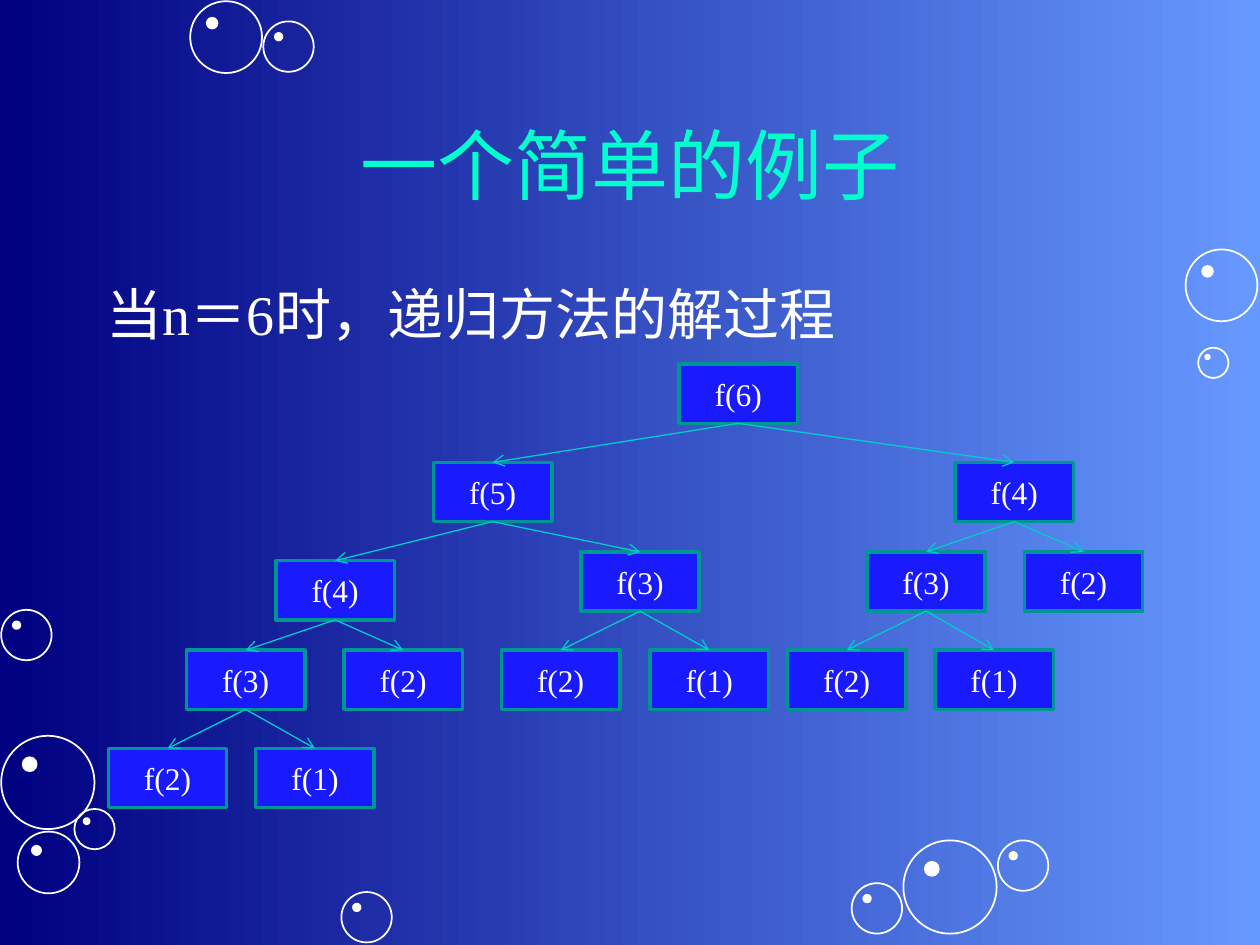
from dataclasses import dataclass
from typing import Any

from lxml import etree
from pptx import Presentation
from pptx import util as u
from pptx.dml.color import RGBColor
from pptx.enum import shapes, text
from pptx.oxml import ns

NAVY = RGBColor(0x00, 0x00, 0x80)
SKY = RGBColor(0x66, 0x99, 0xFF)
WHITE = RGBColor(0xFF, 0xFF, 0xFF)
MINT = RGBColor(0x00, 0xFF, 0xCC)
BLUE = RGBColor(0x1A, 0x1A, 0xFF)
TEAL = RGBColor(0x00, 0x95, 0x95)
CYAN = RGBColor(0x00, 0xCC, 0xCC)

BUBBLES = [
    (0.01, 5.84, 0.74), (0.59, 6.42, 0.32), (0.14, 6.6, 0.49),
    (2.71, 7.08, 0.4), (0.01, 4.84, 0.4), (7.17, 6.67, 0.74),
    (6.76, 7.01, 0.4), (7.92, 6.67, 0.4), (9.41, 1.98, 0.57),
    (9.51, 2.76, 0.24), (1.51, 0.01, 0.57), (2.09, 0.17, 0.4),
]
CALLS_IN_ORDER = [
    (5.39, 2.89), (3.44, 3.67), (2.19, 4.45), (1.48, 5.16), (0.86, 5.94),
    (2.03, 5.94), (2.73, 5.16), (4.61, 4.38), (3.98, 5.16), (5.16, 5.16),
    (7.58, 3.67), (6.88, 4.38), (6.25, 5.16), (7.42, 5.16), (8.13, 4.38),
]


@dataclass
class Painter:
    """Draws the elements of the recursion slide in one style."""

    slide: Any
    font: str = "Times New Roman"
    node_width: float = 0.94
    node_height: float = 0.47

    def background(self, start, end):
        fill = self.slide.background.fill
        fill.gradient()
        fill.gradient_angle = 0
        for stop, color, position in zip(fill.gradient_stops, (start, end), (0, 1)):
            stop.color.rgb = color
            stop.position = position

    def shape(self, kind, left, top, width, height, fill, line, weight):
        shape = self.slide.shapes.add_shape(
            kind, u.Inches(left), u.Inches(top), u.Inches(width), u.Inches(height))
        shape.shadow.inherit = False
        if fill is None:
            shape.fill.background()
        else:
            shape.fill.solid()
            shape.fill.fore_color.rgb = fill
        shape.line.color.rgb = line
        shape.line.width = u.Pt(weight)
        return shape

    def bubble(self, left, top, size):
        oval = shapes.MSO_SHAPE.OVAL
        inset, glint = 0.23 * size, 0.15 * size
        self.shape(oval, left, top, size, size, None, WHITE, 1)
        self.shape(oval, left + inset, top + inset, glint, glint, WHITE, WHITE, 1)

    def set_words(self, box, words, size, color, align, anchor):
        frame = box.text_frame
        frame.word_wrap = True
        frame.vertical_anchor = anchor
        frame.text = words
        para = frame.paragraphs[0]
        para.alignment = align
        for span in para.runs:
            span.font.name = self.font
            span.font.size = u.Pt(size)
            span.font.color.rgb = color

    def label(self, left, top, width, height, words, size, color, align, anchor):
        box = self.slide.shapes.add_textbox(
            u.Inches(left), u.Inches(top), u.Inches(width), u.Inches(height))
        self.set_words(box, words, size, color, align, anchor)

    def node(self, left, top, words):
        box = self.shape(shapes.MSO_SHAPE.RECTANGLE, left, top,
                         self.node_width, self.node_height, BLUE, TEAL, 2)
        self.set_words(box, words, 18, WHITE, text.PP_ALIGN.CENTER, text.MSO_ANCHOR.MIDDLE)
        return box

    def arrow(self, parent, child):
        arrow = self.slide.shapes.add_connector(shapes.MSO_CONNECTOR.STRAIGHT, 0, 0, 0, 0)
        arrow.begin_connect(parent, 2)
        arrow.end_connect(child, 0)
        arrow.line.color.rgb = CYAN
        arrow.line.width = u.Pt(0.75)
        properties = arrow.element.spPr
        outline = properties.find(ns.qn("a:ln"))
        etree.SubElement(outline, ns.qn("a:tailEnd"), type="arrow")
        etree.SubElement(properties, ns.qn("a:effectLst"))

    def call_tree(self, n, places):
        parent = self.node(*next(places), f"f({n})")
        if n > 2:
            children = [self.call_tree(n - step, places) for step in (1, 2)]
            for child in children:
                self.arrow(parent, child)
        return parent


def main():
    deck = Presentation()
    deck.slide_width, deck.slide_height = u.Inches(10), u.Inches(7.5)
    painter = Painter(deck.slides.add_slide(deck.slide_layouts[6]))
    painter.background(NAVY, SKY)
    for bubble in BUBBLES:
        painter.bubble(*bubble)
    painter.label(0.75, 0.67, 8.5, 1.25, "一个简单的例子", 44, MINT,
                  text.PP_ALIGN.CENTER, text.MSO_ANCHOR.MIDDLE)
    painter.label(0.75, 2.17, 8.5, 0.8, "当n＝6时，递归方法的解过程", 32, WHITE,
                  text.PP_ALIGN.LEFT, text.MSO_ANCHOR.TOP)
    painter.call_tree(6, iter(CALLS_IN_ORDER))
    deck.save("out.pptx")


if __name__ == "__main__":
    main()
